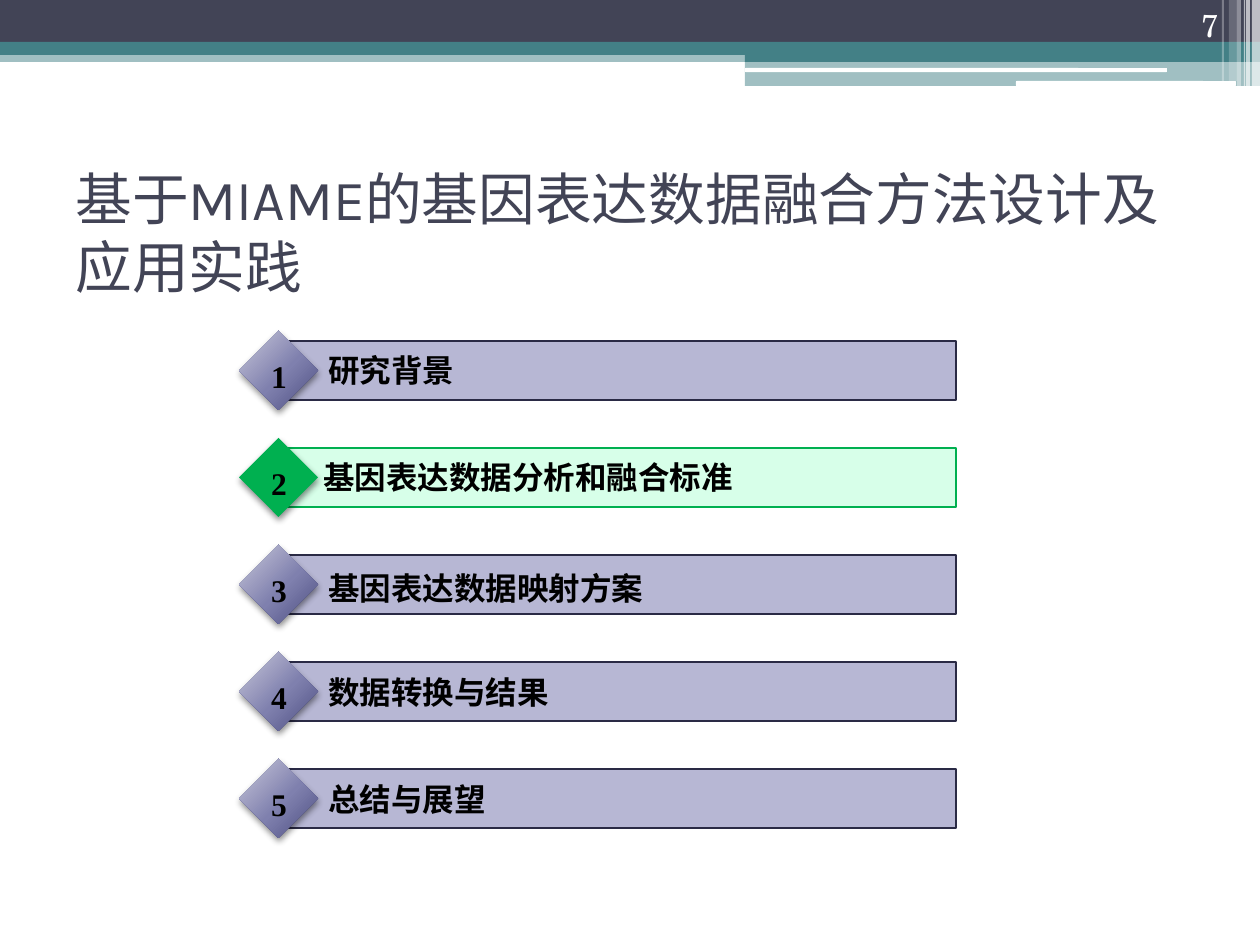
import pptx
import pptx.dml.color
import pptx.enum.shapes
import pptx.enum.text
import pptx.oxml
import pptx.oxml.ns
import pptx.util

PX = 914400 // 126
SHAPE = pptx.enum.shapes.MSO_SHAPE
ANCHOR = pptx.enum.text.MSO_ANCHOR
ALIGN = pptx.enum.text.PP_ALIGN
NS = pptx.oxml.ns.nsdecls("a")
TEAL, NAVY, WHITE, GREEN = "438086", "424456", "FFFFFF", "00B050"
SERIF = "Times New Roman"

BANDS = [
    (0, 50, 1260, 12, TEAL, 50),
    (0, 0, 1260, 43, NAVY, 100),
    (0, 42, 1260, 13, TEAL, 100),
    (745, 49, 515, 13, TEAL, 100),
    (745, 61, 515, 25, TEAL, 50),
]
RULES = [(745, 68, 422, 4), (1016, 81, 220, 5)]
STRIPES = [
    (1252, 8, 86, 65), (1246, 4, 86, 65), (1244, 1, 86, 60),
    (1237, 4, 86, 40), (1229, 8, 81, 20), (1222, 2, 81, 30),
]
AGENDA = [
    ("研究背景", 316, 4, 500),
    ("基因表达数据分析和融合标准", 311, 4, 442),
    ("基因表达数据映射方案", 316, 8, 638),
    ("数据转换与结果", 316, 5, 638),
    ("总结与展望", 316, 5, 638),
]
CURRENT, FIRST_TOP, PITCH = 2, 341, 107


def rgb(color):
    """Turn a hex string into a colour."""
    return pptx.dml.color.RGBColor.from_string(color)


def box(shapes, kind, left, top, width, height, fill, alpha=100, line=None):
    """Add a filled preset shape without a shadow."""
    sp = shapes.add_shape(kind, left * PX, top * PX, width * PX, height * PX)
    sp.shadow.inherit = False
    sp.fill.solid()
    sp.fill.fore_color.rgb = rgb(fill)
    if alpha < 100:
        clr = sp._element.spPr.find(".//" + pptx.oxml.ns.qn("a:srgbClr"))
        clr.append(pptx.oxml.parse_xml(f'<a:alpha {NS} val="{alpha * 1000}"/>'))
    if line:
        sp.line.color.rgb = rgb(line)
        sp.line.width = pptx.util.Pt(0.75)
    else:
        sp.line.fill.background()
    return sp


def write(sp, text, size, font, color, bold=False, align=ALIGN.LEFT, anchor=ANCHOR.TOP):
    """Put one formatted paragraph into a shape."""
    tf = sp.text_frame
    tf.word_wrap = True
    tf.vertical_anchor = anchor
    p = tf.paragraphs[0]
    p.text = text
    p.alignment = align
    r = p.runs[0]
    r.font.size = pptx.util.Pt(size)
    r.font.name = font
    r.font.bold = bold
    r.font.color.rgb = rgb(color)


def label(shapes, left, top, width, height, text, size, font, color, **style):
    """Add a text box."""
    sp = shapes.add_textbox(left * PX, top * PX, width * PX, height * PX)
    write(sp, text, size, font, color, **style)


def shade(sp):
    """Replace a solid fill by the violet radial gradient."""
    stops = "".join(
        f'<a:gs pos="{pos * 1000}"><a:srgbClr val="{color}"/></a:gs>'
        for pos, color in [(0, "C9C9DA"), (55, "7F80AE"), (100, "4D4E81")])
    solid = sp._element.spPr.find(pptx.oxml.ns.qn("a:solidFill"))
    solid.getparent().replace(solid, pptx.oxml.parse_xml(
        f'<a:gradFill {NS} rotWithShape="1"><a:gsLst>{stops}</a:gsLst>'
        '<a:path path="circle"><a:fillToRect l="-40000" t="-90000" '
        'r="140000" b="190000"/></a:path></a:gradFill>'))


def drop_shadow(sp):
    """Give a shape a soft shadow below it."""
    effects = sp._element.spPr.find(pptx.oxml.ns.qn("a:effectLst"))
    effects.append(pptx.oxml.parse_xml(
        f'<a:outerShdw {NS} blurRad="50800" dist="25400" dir="5400000" '
        'rotWithShape="0"><a:srgbClr val="000000"><a:alpha val="45000"/>'
        '</a:srgbClr></a:outerShdw>'))


def header(shapes):
    """Draw the bands, rules and stripes along the top."""
    for left, top, width, height, color, alpha in BANDS:
        box(shapes, SHAPE.RECTANGLE, left, top, width, height, color, alpha)
    for rule in RULES:
        box(shapes, SHAPE.ROUNDED_RECTANGLE, *rule, WHITE)
    for left, width, height, alpha in STRIPES:
        box(shapes, SHAPE.RECTANGLE, left, 0, width, height, WHITE, alpha)


def agenda_row(shapes, number, text, left, drop, width):
    """Draw one agenda bar with its numbered diamond."""
    top = FIRST_TOP + (number - 1) * PITCH
    current = number == CURRENT
    fill, alpha, line = ("B9FFD9", 56, GREEN) if current else ("B7B7D4", 100, "2A2A45")
    box(shapes, SHAPE.RECTANGLE, 283, top, 673, 59, fill, alpha, line)
    diamond = box(shapes, SHAPE.DIAMOND, 239, top - 10, 79, 79, GREEN)
    if not current:
        shade(diamond)
    drop_shadow(diamond)
    write(diamond, str(number), 18, SERIF, "000000", bold=True)
    label(shapes, left, top + drop, width, 50, text, 18, SERIF, "000000", bold=True)


def main():
    """Build the slide and save it."""
    prs = pptx.Presentation()
    prs.slide_width = pptx.util.Inches(10)
    prs.slide_height = pptx.util.Inches(7.5)
    shapes = prs.slides.add_slide(prs.slide_layouts[6]).shapes
    header(shapes)
    label(shapes, 63, 158, 1134, 147, "基于MIAME的基因表达数据融合方法设计及应用实践",
          32.4, "Karla", NAVY, anchor=ANCHOR.MIDDLE)
    for number, row in enumerate(AGENDA, 1):
        agenda_row(shapes, number, *row)
    label(shapes, 1126, 0, 105, 50, "7", 18, "TeX Gyre Schola", WHITE,
          align=ALIGN.RIGHT, anchor=ANCHOR.BOTTOM)
    prs.save("out.pptx")


main()
